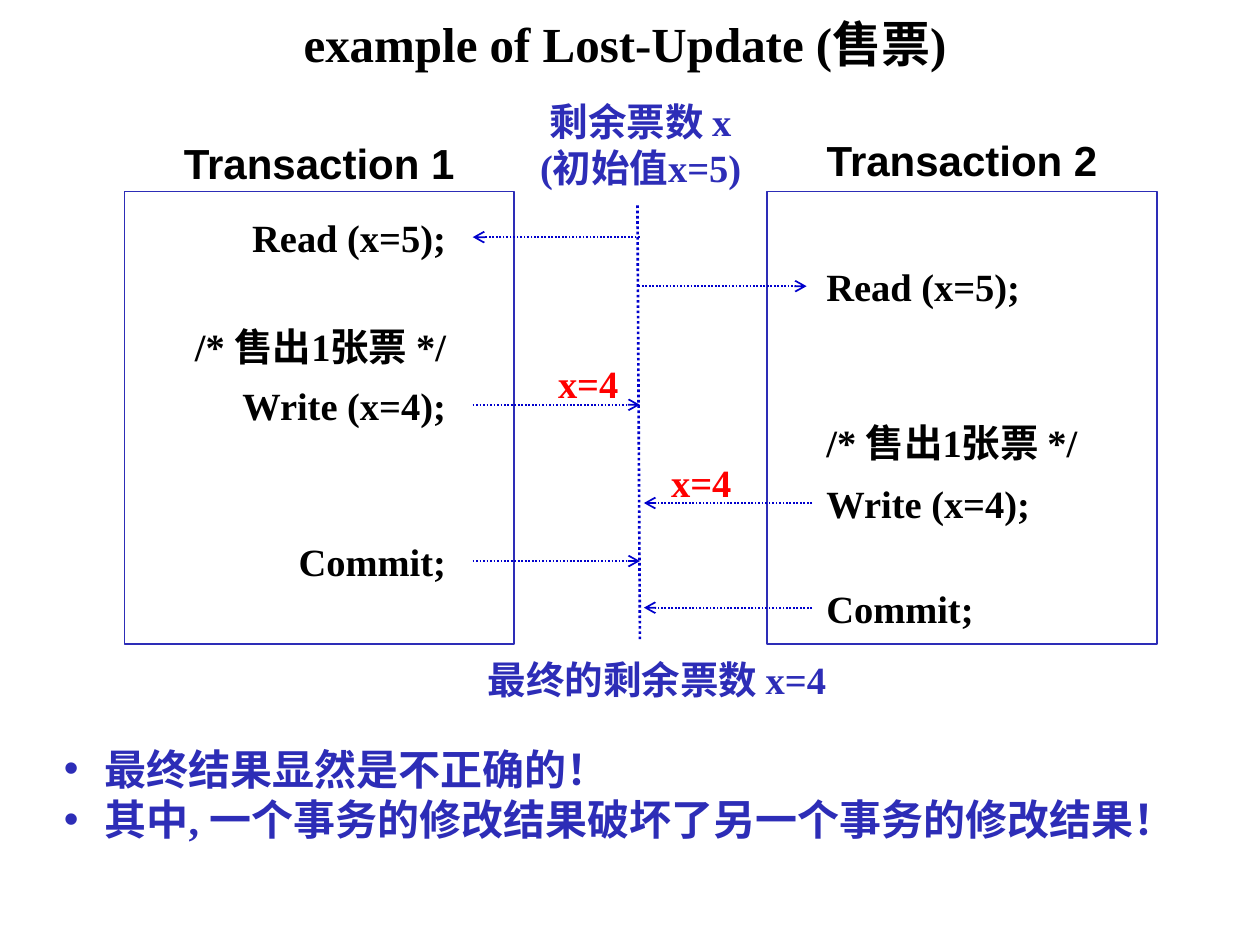
from lxml import etree
from pptx import Presentation
from pptx import util as u
from pptx.dml.color import RGBColor
from pptx.enum import dml, shapes, text
from pptx.oxml.ns import qn

SERIF, SANS = "Times New Roman", "Arial"
BLACK, BLUE, DOT_BLUE, RED, WHITE = "000000", "2D2DB7", "0000CC", "FF0000", "FFFFFF"
LEFT, CENTER, RIGHT = text.PP_ALIGN.LEFT, text.PP_ALIGN.CENTER, text.PP_ALIGN.RIGHT

# Content; all lengths are in centimetres
TITLE = "example of Lost-Update (售票)"
SHARED = ["剩余票数 x", "(初始值x=5)"]
RESULT = "最终的剩余票数 x=4"
REMARKS = ["最终结果显然是不正确的！", "其中, 一个事务的修改结果破坏了另一个事务的修改结果！"]

# Each step: top of its text, text, arrow direction ("in" reads, "out" writes)
TRANSACTIONS = [
    dict(name="Transaction 1", frame_left=2.51, name_top=2.64, text_left=2.79,
         align=RIGHT, arrow_side=9.53, arrow_mid=12.9, value_at=(11.0, 7.14),
         steps=[(4.19, "Read (x=5);", "in"), (6.38, "/* 售出1张票 */", None),
                (7.57, "Write (x=4);", "out"), (10.72, "Commit;", "out")]),
    dict(name="Transaction 2", frame_left=15.47, name_top=2.59, text_left=16.41,
         align=LEFT, arrow_side=16.37, arrow_mid=12.98, value_at=(13.28, 9.12),
         steps=[(5.18, "Read (x=5);", "in"), (8.33, "/* 售出1张票 */", None),
                (9.55, "Write (x=4);", "out"), (11.66, "Commit;", "out")]),
]
FRAME_TOP, FRAME_WIDTH, FRAME_HEIGHT = 3.86, 7.85, 9.12
STEP_WIDTH, STEP_HEIGHT, ARROW_DROP = 6.45, 1.19, 0.59
READ_SHIFT = 0.11  # the second read arrow sits slightly left of the writes

deck = Presentation()
deck.slide_width, deck.slide_height = u.Cm(25.4), u.Cm(19.05)
page = deck.slides.add_slide(deck.slide_layouts[6])


def color(value):
    return RGBColor.from_string(value)


def add_text(lines, left, top, width, height, size=22, font=SERIF, fill=BLACK,
             align=LEFT, wrap=True, bullet=False):
    box = page.shapes.add_textbox(u.Cm(left), u.Cm(top), u.Cm(width), u.Cm(height))
    frame = box.text_frame
    frame.word_wrap = wrap
    for index, line in enumerate([lines] if isinstance(lines, str) else lines):
        para = frame.paragraphs[0] if index == 0 else frame.add_paragraph()
        para.alignment = align
        if bullet:
            props = para._p.get_or_add_pPr()
            props.set("marL", str(u.Cm(0.82)))
            props.set("indent", str(-u.Cm(0.82)))
            etree.SubElement(props, qn("a:buFont")).set("typeface", SANS)
            etree.SubElement(props, qn("a:buChar")).set("char", "•")
        span = para.add_run()
        span.text = line
        span.font.name, span.font.size, span.font.bold = font, u.Pt(size), True
        span.font.color.rgb = color(fill)


def add_dotted_line(x1, y1, x2, y2, width=1, arrow=True):
    line = page.shapes.add_connector(shapes.MSO_CONNECTOR.STRAIGHT,
                                     u.Cm(x1), u.Cm(y1), u.Cm(x2), u.Cm(y2))
    line.line.color.rgb = color(DOT_BLUE)
    line.line.width = u.Pt(width)
    line.line.dash_style = dml.MSO_LINE.ROUND_DOT
    if arrow:
        etree.SubElement(line.line._get_or_add_ln(), qn("a:tailEnd")).set("type", "arrow")
    etree.SubElement(line._element.spPr, qn("a:effectLst"))


def add_frame(left):
    frame = page.shapes.add_shape(shapes.MSO_SHAPE.RECTANGLE, u.Cm(left), u.Cm(FRAME_TOP),
                                  u.Cm(FRAME_WIDTH), u.Cm(FRAME_HEIGHT))
    frame.shadow.inherit = False
    frame.fill.solid()
    frame.fill.fore_color.rgb = color(WHITE)
    frame.line.color.rgb = color(BLUE)
    frame.line.width = u.Pt(1)


# Title and the shared variable with its time line
add_text(TITLE, 3.15, 0.15, 18.9, 1.45, size=28, align=CENTER)
for side in TRANSACTIONS:
    add_text(side["name"], side["frame_left"], side["name_top"], FRAME_WIDTH, 1.27,
             size=24, font=SANS, align=CENTER)
    add_frame(side["frame_left"])
add_text(SHARED, 10.36, 1.85, 5.11, 2.13, fill=BLUE, align=CENTER)
add_dotted_line(12.85, 4.14, 12.9, 12.9, width=1.5, arrow=False)

# Steps and arrows of both transactions
for side in TRANSACTIONS:
    for top, label, direction in side["steps"]:
        add_text(label, side["text_left"], top, STEP_WIDTH, STEP_HEIGHT, align=side["align"])
        y, outer, middle = top + ARROW_DROP, side["arrow_side"], side["arrow_mid"]
        if direction == "out":
            add_dotted_line(outer, y, middle, y)
        elif direction == "in":
            shift = READ_SHIFT if outer > middle else 0
            add_dotted_line(middle - shift, y, outer - shift, y)
    add_text("x=4", *side["value_at"], 1.73, STEP_HEIGHT, fill=RED, wrap=False)

# Outcome and remarks
add_text(REMARKS, 1.04, 14.86, 23.16, 2.31, size=24, fill=BLUE, bullet=True)
add_text(RESULT, 8.76, 13.11, 8.97, STEP_HEIGHT, fill=BLUE, align=CENTER)

deck.save("out.pptx")
